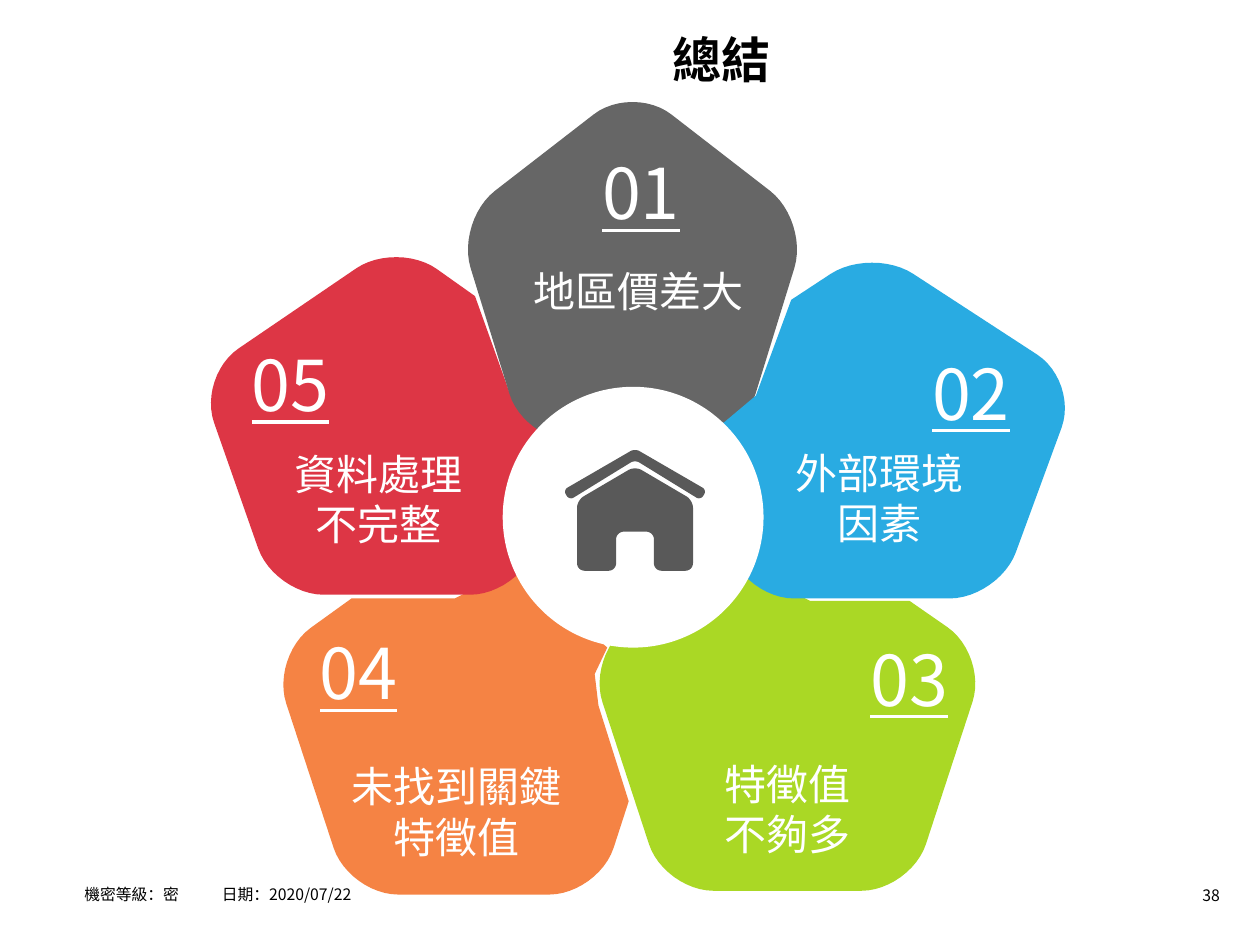
from dataclasses import dataclass

from lxml.etree import SubElement
from pptx import Presentation
from pptx.dml.color import RGBColor as RGB
from pptx.enum.shapes import MSO_SHAPE as SHAPE
from pptx.enum.text import MSO_ANCHOR as ANCHOR, MSO_AUTO_SIZE as AUTO, PP_ALIGN as ALIGN
from pptx.oxml.ns import qn
from pptx.util import Inches, Pt


@dataclass(frozen=True)
class Theme:
    font: str = "Noto Sans CJK SC"
    ink: str = "000000"
    light: str = "FFFFFF"
    house: str = "595959"
    title: int = 28
    number: int = 40
    label: int = 24
    small: int = 9
    leading: float = 1.2


@dataclass(frozen=True)
class Petal:
    number: str
    number_at: tuple
    lines: tuple
    label_at: tuple
    color: str
    frame: tuple   # centre x, base y, half width, height of the pentagon
    corners: tuple  # rounded corners, 0 is the apex, then clockwise
    seam: tuple    # sharp points along the neighbours and under the hub


THEME = Theme()

PETALS = [
    Petal("04", (2.44, 4.95), ("未找到關鍵", "特徵值"), (2.62, 5.99, 2.01, 0.91), "F58344",
          (3.76, 7.1, 1.61, 3.06), (4, 3, 2),
          ((4.99, 6.36), (4.75, 5.6), (4.72, 5.35), (4.82, 5.14), (4.1, 4.5), (3.61, 4.75),
           (2.79, 4.75))),
    Petal("05", (1.9, 2.66), ("資料處理", "不完整"), (2.23, 3.51, 1.55, 0.91), "DD3645",
          (3.15, 4.72, 1.58, 2.81), (0, 4, 3, 2),
          ((4.3, 4.2), (4.5, 3.5), (4.29, 3.4), (4.06, 3.16), (3.77, 2.35))),
    Petal("03", (6.81, 5), ("特徵值", "不夠多"), (3.75, 5.97, 5, 0.91), "AAD825",
          (6.25, 7.07, 1.59, 3.03), (1, 2, 3, 4),
          ((5.3, 4.75), (5.9, 4.5), (6.43, 4.77), (7.22, 4.77))),
    Petal("01", (4.68, 1.14), ("地區價差大",), (4.06, 2.06, 2.01, 0.5), "666666",
          (5.02, 3.5, 1.4, 2.83), (0, 1, 2, 3, 4), ()),
    Petal("02", (7.3, 2.73), ("外部環境因素",), (6.18, 3.5, 1.6, 0.91), "29ABE2",
          (6.92, 4.75, 1.64, 2.79), (0, 1, 2, 3),
          ((5.74, 4.2), (5.5, 3.5), (5.75, 3.35), (6, 3.14), (6.28, 2.38))),
]

# Right halves, from the top middle down
HOUSE_X = 5.04
WALLS = [(0, 3.7), (0.46, 3.97), (0.46, 4.53), (0.15, 4.53), (0.15, 4.22)]
ROOF = [(0, 3.56), (0.57, 3.89), (0.52, 3.97), (0, 3.65)]


def pentagon(cx, base, half, height):
    """Corners clockwise from the apex."""
    foot, shoulder = 0.615 * half, base - 0.617 * height
    return [(cx, base - height), (cx + half, shoulder), (cx + foot, base),
            (cx - foot, base), (cx - half, shoulder)]


def mirrored(half):
    left = [(-x, y) for x, y in reversed(half) if x]
    return [(HOUSE_X + x, y) for x, y in half + left]


def toward(a, b, dist):
    dx, dy = b[0] - a[0], b[1] - a[1]
    k = dist / (dx * dx + dy * dy) ** 0.5
    return a[0] + dx * k, a[1] + dy * k


def rounded(points, radii, steps=12):
    """Replace each corner that has a radius by a cubic curve."""
    result = []
    for i, (corner, radius) in enumerate(zip(points, radii)):
        if not radius:
            result.append(corner)
            continue
        before, after = points[i - 1], points[(i + 1) % len(points)]
        knots = [toward(corner, end, radius * k)
                 for end, k in ((before, 1), (before, 0.45), (after, 0.45), (after, 1))]
        for n in range(steps + 1):
            t = n / steps
            weights = ((1 - t) ** 3, 3 * t * (1 - t) ** 2, 3 * t * t * (1 - t), t ** 3)
            result.append(tuple(sum(w * k[axis] for w, k in zip(weights, knots))
                                for axis in (0, 1)))
    return result


def paint(sp, color):
    sp.shadow.inherit = False
    sp.fill.solid()
    sp.fill.fore_color.rgb = RGB.from_string(color)
    sp.line.fill.background()


def add_outline(group, outline, color):
    points = [(Inches(x), Inches(y)) for x, y in outline]
    builder = group.shapes.build_freeform(*points[0], scale=1.0)
    builder.add_line_segments(points[1:], close=True)
    paint(builder.convert_to_shape(), color)


def add_petal(group, petal):
    frame = pentagon(*petal.frame)
    corners = [frame[i] for i in petal.corners]
    radii = [0.39] * len(corners) + [0] * len(petal.seam)
    add_outline(group, rounded(corners + list(petal.seam), radii), petal.color)


def format_run(r, size, color, bold=False, underline=False):
    f = r.font
    f.name, f.size, f.bold, f.underline = THEME.font, Pt(size), bold, underline
    f.color.rgb = RGB.from_string(color)
    SubElement(r._r.get_or_add_rPr(), qn("a:ea"), typeface=THEME.font)


def add_text(s, lines, at, size, color, align=ALIGN.LEFT, wrap=True, spacing=None,
             anchor=ANCHOR.TOP, auto=AUTO.NONE, underline=False):
    sp = s.shapes.add_textbox(*map(Inches, at))
    tf = sp.text_frame
    tf.word_wrap, tf.auto_size, tf.vertical_anchor = wrap, auto, anchor
    for i, line in enumerate(lines):
        p = tf.add_paragraph() if i else tf.paragraphs[0]
        p.alignment, p.line_spacing = align, spacing
        r = p.add_run()
        r.text = line
        format_run(r, size, color, underline=underline)
    return tf


def add_title(s, text):
    sp = s.shapes.title
    sp.left, sp.top, sp.width, sp.height = map(Inches, (2.31, 0.17, 6.83, 0.59))
    tf = sp.text_frame
    tf.auto_size, tf.vertical_anchor = AUTO.NONE, ANCHOR.MIDDLE
    p = tf.paragraphs[0]
    p.alignment = ALIGN.CENTER
    r = p.add_run()
    r.text = text
    format_run(r, THEME.title, THEME.ink, bold=True)


def add_petal_text(s, petal):
    add_text(s, [petal.number], (*petal.number_at, 0.85, 0.77), THEME.number, THEME.light,
             wrap=False, auto=AUTO.SHAPE_TO_FIT_TEXT, underline=True,
             spacing=Pt(THEME.number * THEME.leading))
    add_text(s, petal.lines, petal.label_at, THEME.label, THEME.light, align=ALIGN.CENTER,
             auto=AUTO.SHAPE_TO_FIT_TEXT, spacing=Pt(THEME.label * THEME.leading))


def add_footer(s):
    tf = add_text(s, ["機密等級：密\t日期：2020/07/22"], (0.67, 6.9, 7.42, 0.31),
                  THEME.small, THEME.ink, spacing=1.5)
    tf.margin_left = 0
    p = tf.paragraphs[0]
    p.space_before = Pt(2.7)
    tabs = SubElement(p._p.get_or_add_pPr(), qn("a:tabLst"))
    SubElement(tabs, qn("a:tab"), pos=str(Inches(1.09)), algn="l")
    add_text(s, ["38"], (9.1, 6.98, 0.68, 0.25), THEME.small, THEME.ink,
             align=ALIGN.RIGHT, anchor=ANCHOR.MIDDLE)


def main():
    prs = Presentation()
    prs.slide_width, prs.slide_height = Inches(10), Inches(7.5)
    s = prs.slides.add_slide(prs.slide_layouts[5])
    add_title(s, "總結")

    # Ring of petals around a white hub
    ring = s.shapes.add_group_shape()
    for petal in PETALS:
        add_petal(ring, petal)
    hub = ring.shapes.add_shape(SHAPE.OVAL, *map(Inches, (3.99, 3.07, 2.07, 2.07)))
    paint(hub, THEME.light)
    for petal in PETALS:
        add_petal_text(s, petal)

    # House in the centre
    house = s.shapes.add_group_shape()
    for half, radius in ((WALLS, 0.06), (ROOF, 0.04)):
        points = mirrored(half)
        add_outline(house, rounded(points, [radius] * len(points)), THEME.house)

    add_footer(s)
    prs.save("out.pptx")


if __name__ == "__main__":
    main()
